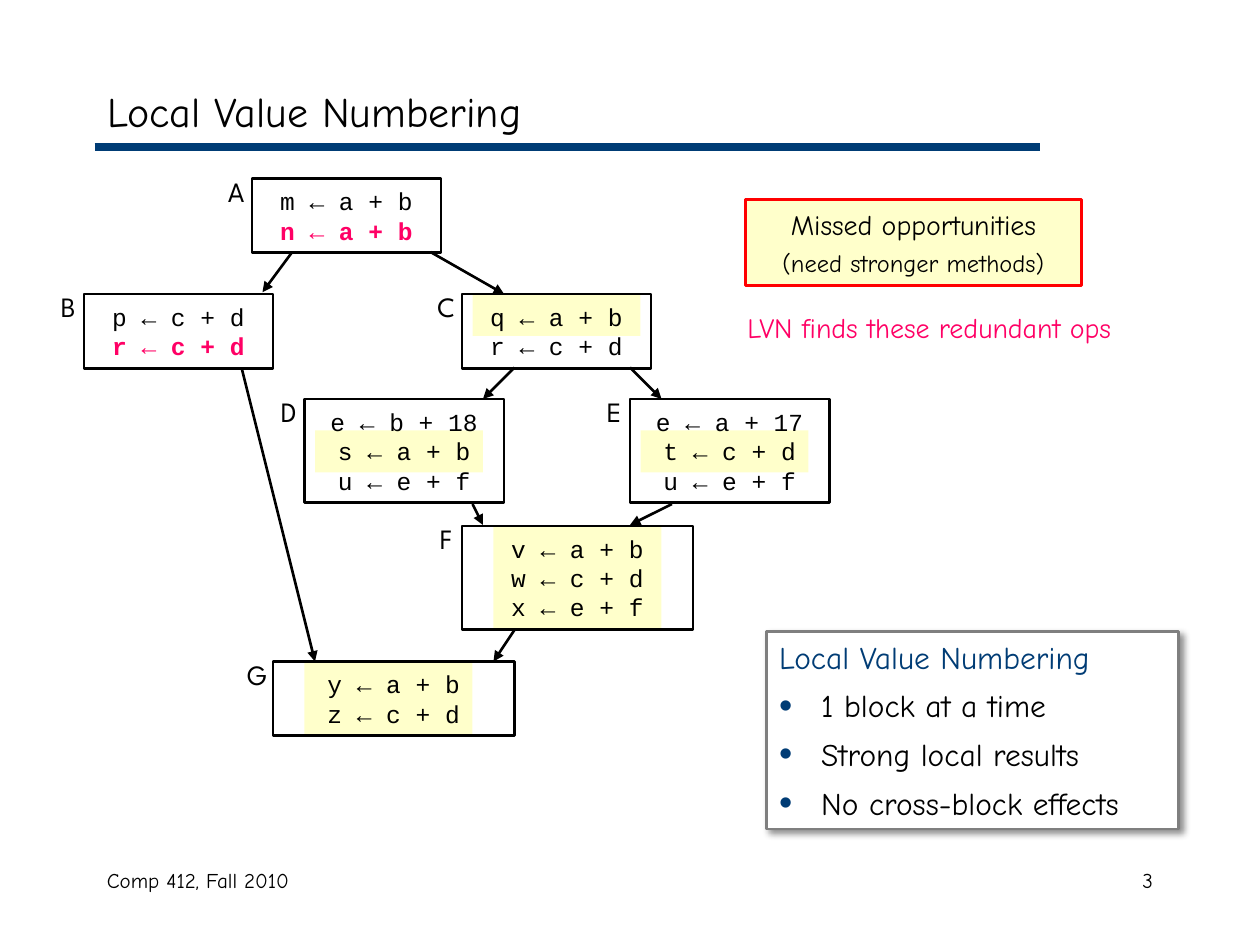
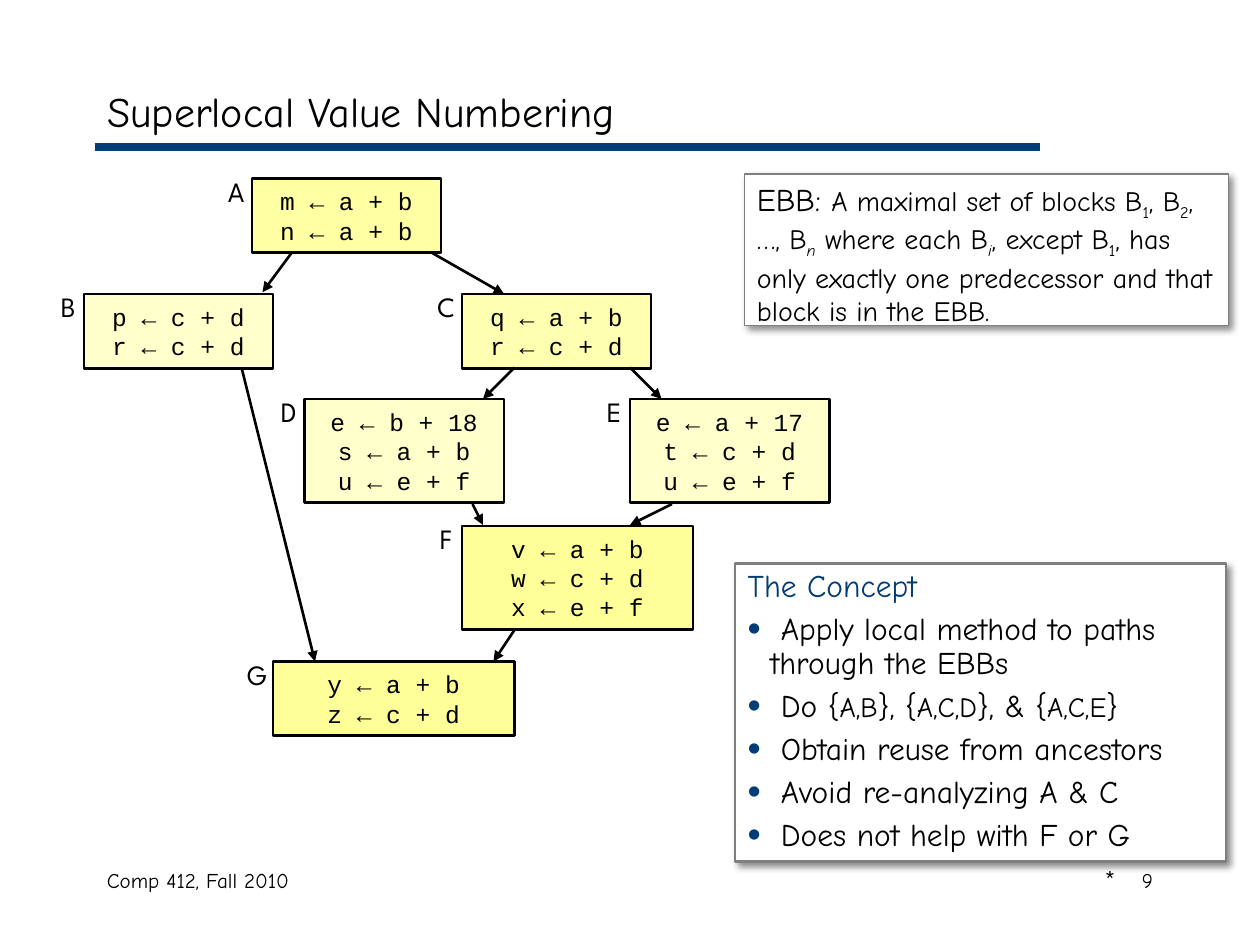
from dataclasses import dataclass

from lxml import etree
from pptx import Presentation
from pptx.dml.color import RGBColor
from pptx.enum.shapes import MSO_CONNECTOR, MSO_SHAPE
from pptx.enum.text import MSO_ANCHOR, MSO_AUTO_SIZE, PP_ALIGN
from pptx.oxml.ns import qn
from pptx.util import Pt

RECT = MSO_SHAPE.RECTANGLE
STRAIGHT = MSO_CONNECTOR.STRAIGHT
LEFT, CENTER, RIGHT = PP_ALIGN.LEFT, PP_ALIGN.CENTER, PP_ALIGN.RIGHT
TOP, MIDDLE = MSO_ANCHOR.TOP, MSO_ANCHOR.MIDDLE
NO_FIT = MSO_AUTO_SIZE.NONE


@dataclass(frozen=True)
class Theme:
    ink: str = "000000"
    navy: str = "003C75"
    pink: str = "FF0065"
    red: str = "FF0000"
    yellow: str = "FFFF99"
    white: str = "FFFFFF"
    gray: str = "7F7F7F"
    font: str = "Comic Neue"
    code_font: str = "Courier New"
    label_font: str = "League Spartan"
    title: int = 24
    head: int = 18
    body: int = 16
    code: int = 14
    footer: int = 12


T = Theme()
BASE = {"name": T.font, "size": T.body, "color": T.ink}
HEAD = {**BASE, "size": T.head}
CONCEPT_TITLE = {**HEAD, "color": T.navy}
CODE = {**BASE, "name": T.code_font, "size": T.code}
LABEL = {**BASE, "name": T.label_font}
FOOTER = {**BASE, "size": T.footer}
REDUNDANT = {"color": T.pink, "bold": True}
SUB = {"sub": True}
SUB_ITALIC = {"sub": True, "italic": True}

BLOCKS = {
    "A": (144, 102, 108, ["m ← a + b", "n ← a + b"]),
    "B": (48, 168, 108, ["p ← c + d", "r ← c + d"]),
    "C": (264, 168, 108, ["q ← a + b", "r ← c + d"]),
    "D": (174, 228, 114, ["e ← b + 18", "s ← a + b", "u ← e + f"]),
    "E": (360, 228, 114, ["e ← a + 17", "t ← c + d", "u ← e + f"]),
    "F": (264, 300.5, 132, ["v ← a + b", "w ← c + d", "x ← e + f"]),
    "G": (156, 378, 138, ["y ← a + b", "z ← c + d"]),
}
HEIGHTS = {2: 42.5, 3: 59.25}
FLOW_EDGES = [
    (167, 144, 150, 167), (246, 144, 288, 168), (138, 210, 180, 378),
    (294, 210, 276, 228), (360, 210, 378, 228), (270, 288, 276, 300),
    (384, 288, 360, 300), (294, 360, 282, 378),
]
MISSED = [("C", 6, 0, 24), ("D", 6, 18, 24), ("E", 6, 18, 24),
          ("F", 18, 0, 59.25), ("G", 18, 0, 42)]
EBB_PATHS = ["AB", "ACD", "ACE"]


def add_xml(parent, tag, **attrs):
    return etree.SubElement(parent, qn(tag), attrs)


def set_attrs(target, values):
    for name, value in values.items():
        setattr(target, name, value)


def add_run(p, text, fmt):
    r = p.add_run()
    r.text = text
    plain = {k: v for k, v in fmt.items() if k in ("name", "bold", "italic")}
    set_attrs(r.font, {**plain, "size": Pt(fmt["size"])})
    r.font.color.rgb = RGBColor.from_string(fmt["color"])
    if fmt.get("sub"):
        r.font._element.set("baseline", "-25000")


def set_bullet(p, indent, bullet):
    pPr = p._p.get_or_add_pPr()
    pPr.set("marL", str(Pt(indent)))
    pPr.set("indent", str(-Pt(indent)))
    if not bullet:
        add_xml(pPr, "a:buNone")
        return
    add_xml(add_xml(pPr, "a:buClr"), "a:srgbClr", val=T.navy)
    add_xml(pPr, "a:buSzPct", val="120000")
    add_xml(pPr, "a:buFont", typeface="Arial")
    add_xml(pPr, "a:buChar", char="•")


def write(sp, paragraphs, fmt, align=LEFT, anchor=TOP, gap=0):
    tf = sp.text_frame
    set_attrs(tf, {"word_wrap": True, "auto_size": NO_FIT, "vertical_anchor": anchor})
    for i, runs in enumerate(paragraphs):
        p = tf.paragraphs[0] if i == 0 else tf.add_paragraph()
        set_attrs(p, {"alignment": align, "space_before": Pt(gap if i else 0)})
        for text, extra in [(runs, {})] if isinstance(runs, str) else runs:
            add_run(p, text, {**fmt, **extra})
    return tf


def place(sp, box):
    set_attrs(sp, dict(zip(("left", "top", "width", "height"), map(Pt, box))))


def add_text(s, box, paragraphs, fmt, align=LEFT):
    write(s.shapes.add_textbox(*map(Pt, box)), paragraphs, fmt, align)


def paint(sp, fill=None, line=None, width=1.5, alpha=None):
    if fill:
        sp.fill.solid()
        sp.fill.fore_color.rgb = RGBColor.from_string(fill)
        if alpha:
            color = sp._element.spPr.find(qn("a:solidFill"))[0]
            add_xml(color, "a:alpha", val=str(alpha * 1000))
    else:
        sp.fill.background()
    if line:
        sp.line.color.rgb = RGBColor.from_string(line)
        sp.line.width = Pt(width)
    else:
        sp.line.fill.background()
    sp.shadow.inherit = False


def add_rect(s, box, **look):
    sp = s.shapes.add_shape(RECT, *map(Pt, box))
    paint(sp, **look)
    return sp


def add_line(s, ends, color, width, arrow=False):
    c = s.shapes.add_connector(STRAIGHT, *map(Pt, ends))
    c.line.color.rgb = RGBColor.from_string(color)
    c.line.width = Pt(width)
    spPr = c._element.spPr
    if arrow:
        add_xml(spPr.find(qn("a:ln")), "a:tailEnd", type="triangle")
    add_xml(spPr, "a:effectLst")


def make_card(sp, width=1.5):
    paint(sp, T.white, T.gray, width)
    effects = sp._element.spPr.find(qn("a:effectLst"))
    shadow = add_xml(effects, "a:outerShdw", blurRad=str(Pt(4)), dist=str(Pt(3)),
                     dir="2700000", algn="tl", rotWithShape="0")
    add_xml(add_xml(shadow, "a:srgbClr", val=T.ink), "a:alpha", val="43000")


def add_list_card(s, box, heading, items, gap, indent, spacing):
    sp = s.placeholders[1]
    place(sp, box)
    make_card(sp)
    tf = write(sp, [[(heading, CONCEPT_TITLE)], *items], HEAD, gap=gap)
    for i, p in enumerate(tf.paragraphs):
        p.line_spacing = spacing
        set_bullet(p, indent, bullet=i > 0)


def add_base_slide(prs, title, number):
    s = prs.slides.add_slide(prs.slide_layouts[1])
    add_line(s, (54, 84, 594, 84), T.navy, 4.5)
    place(s.shapes.title, (54, 42, 612, 42))
    write(s.shapes.title, [title], {**BASE, "size": T.title}, anchor=MIDDLE)
    add_text(s, (54, 492, 228, 36), ["Comp 412, Fall 2010"], FOOTER)
    add_text(s, (516, 492, 150, 36), [number], FOOTER, RIGHT)
    return s


def block_box(name):
    x, y, w, lines = BLOCKS[name]
    return x, y, w, HEIGHTS[len(lines)]


def add_flow_graph(s, redundant=""):
    for name, (x, y, w, lines) in BLOCKS.items():
        sp = add_rect(s, block_box(name), line=T.ink)
        last = REDUNDANT if name in redundant else {}
        write(sp, [*lines[:-1], [(lines[-1], last)]], CODE, CENTER, MIDDLE)
        add_text(s, (x - 24, y - 6, 30, 26.5), [name], LABEL, CENTER)
    for ends in FLOW_EDGES:
        add_line(s, ends, T.ink, 1.5, arrow=True)


def build_local(prs):
    s = add_base_slide(prs, "Local Value Numbering", "3")
    sp = add_rect(s, (426, 114, 192, 49), fill=T.yellow, alpha=50, line=T.red)
    write(sp, ["Missed opportunities", [("(need stronger methods)", {"size": T.code})]],
          BASE, CENTER, MIDDLE, gap=4)
    for name, dx, dy, h in MISSED:
        x, y = BLOCKS[name][:2]
        add_rect(s, (x + dx, y + dy, 96, h), fill=T.yellow, alpha=50)
    add_flow_graph(s, redundant="AB")
    add_list_card(s, (438, 360.75, 235.5, 113), "Local Value Numbering",
                  [" 1 block at a time", " Strong local results", " No cross-block effects"],
                  gap=6.2, indent=18, spacing=1.0)
    add_text(s, (420, 174, 258, 26.5), ["LVN finds these redundant ops"],
             {**BASE, "color": T.pink})


def build_superlocal(prs):
    s = add_base_slide(prs, "Superlocal Value Numbering", "9")
    for name in "GF":
        add_rect(s, block_box(name), fill=T.yellow)
    for ebb in EBB_PATHS:
        for name in ebb:
            add_rect(s, block_box(name), fill=T.yellow, alpha=50)
    add_flow_graph(s)
    small = {"size": T.body}
    paths = [(" Do {", {}), ("A,B", small), ("}, {", {}), ("A,C,D", small),
             ("}, & {", {}), ("A,C,E", small), ("}", {})]
    add_list_card(s, (420, 322, 280.5, 170.5), "The Concept",
                  [" Apply local method to paths through the EBBs", paths,
                   " Obtain reuse from ancestors", " Avoid re-analyzing A & C",
                   " Does not help with F or G"],
                  gap=5.2, indent=13, spacing=0.9)
    add_text(s, (624, 489.5, 42, 26.5), ["*"], LABEL)
    sp = s.shapes.add_shape(RECT, *map(Pt, (425.5, 99.5, 276.5, 86.5)))
    make_card(sp, width=1)
    write(sp, [[("EBB: ", {"size": T.head}), ("A maximal set of blocks B", {}),
                ("1", SUB), (", B", {}), ("2", SUB), (", …, B", {}),
                ("n", SUB_ITALIC), (" where each B", {}), ("i", SUB_ITALIC),
                (", except B", {}), ("1", SUB),
                (", has only exactly one predecessor and that block is in the EBB.", {})]],
          BASE)


def main():
    prs = Presentation()
    set_attrs(prs, {"slide_width": Pt(720), "slide_height": Pt(540)})
    build_local(prs)
    build_superlocal(prs)
    prs.save("out.pptx")


if __name__ == "__main__":
    main()
